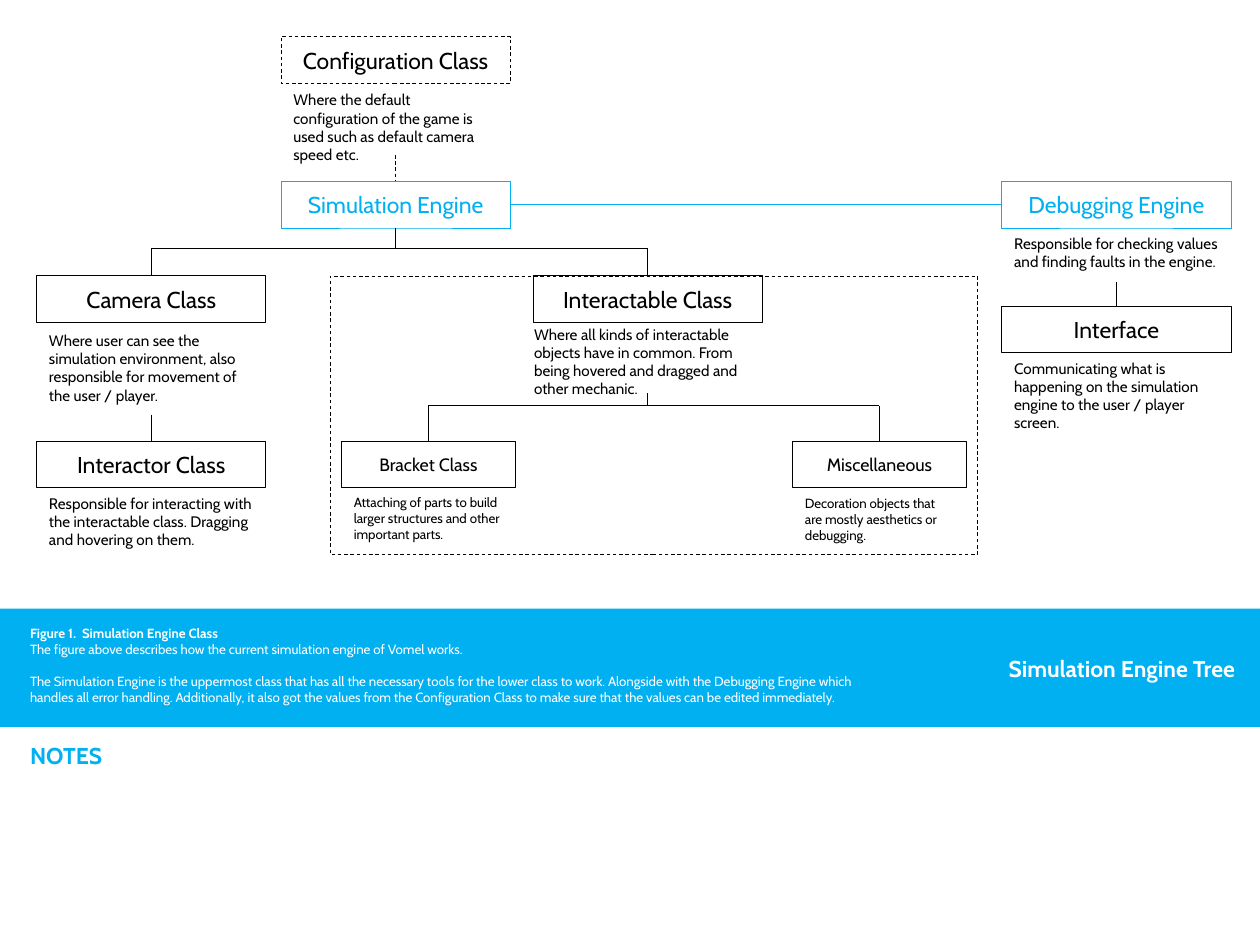
from pptx import Presentation
from pptx.dml.color import RGBColor
from pptx.enum.dml import MSO_LINE
from pptx.enum.shapes import MSO_CONNECTOR, MSO_SHAPE
from pptx.enum.text import MSO_ANCHOR, PP_ALIGN
from pptx.oxml.ns import qn
from pptx.util import Inches, Pt
from lxml.etree import SubElement

BLUE = RGBColor(0x00, 0xB0, 0xF0)
BLACK = RGBColor(0x00, 0x00, 0x00)
WHITE = RGBColor(0xFF, 0xFF, 0xFF)
FONT = "Cabin"
TITLE, SUBTITLE, BODY, SMALL = 13.1, 10.2, 8.7, 7.6
BOX_W, SMALL_W, BOX_H = 1.82, 1.38, 0.37


def add_run(p, text, size, color, bold=False):
    r = p.add_run()
    r.text = text
    r.font.name = FONT
    r.font.size = Pt(size)
    r.font.bold = bold
    r.font.color.rgb = color


def add_text(s, box, text, size, color, bold=False, align=PP_ALIGN.LEFT):
    tf = s.shapes.add_textbox(*map(Inches, box)).text_frame
    tf.word_wrap = True
    p = tf.paragraphs[0]
    p.alignment = align
    add_run(p, text, size, color, bold)
    return tf


def style_line(line, color, dashed):
    line.color.rgb = color
    line.width = Pt(0.5)
    if dashed:
        line.dash_style = MSO_LINE.DASH


def add_box(s, box, color, dashed=False):
    sp = s.shapes.add_shape(MSO_SHAPE.RECTANGLE, *map(Inches, box))
    sp.shadow.inherit = False
    sp.fill.background()
    style_line(sp.line, color, dashed)
    return sp


def add_line(s, x1, y1, x2, y2, color=BLACK, dashed=False):
    c = s.shapes.add_connector(MSO_CONNECTOR.STRAIGHT, *map(Inches, (x1, y1, x2, y2)))
    style_line(c.line, color, dashed)
    SubElement(c._element.spPr, qn("a:effectLst"))


def add_node(s, box, title, size=TITLE, color=BLACK, dashed=False):
    sp = add_box(s, box, color, dashed)
    tf = sp.text_frame
    tf.word_wrap = True
    tf.vertical_anchor = MSO_ANCHOR.MIDDLE
    p = tf.paragraphs[0]
    p.alignment = PP_ALIGN.CENTER
    add_run(p, title, size, color)


def add_tree(s, box):
    left, top, width, height = box
    engine_x, item_x, debug_x = left + 1.94, left + 3.94, left + width - BOX_W
    bracket_x, misc_x = left + 2.42, left + 6
    engine_y, class_y, leaf_y = top + 1.15, top + 1.9, top + 3.21
    interface_y = top + 2.14
    add_box(s, (left + 2.33, class_y, 5.14, height - 1.9), BLACK, True)

    big = [
        (engine_x, top, "Configuration Class", BLACK, True),
        (engine_x, engine_y, "Simulation Engine", BLUE, False),
        (debug_x, engine_y, "Debugging Engine", BLUE, False),
        (left, class_y, "Camera Class", BLACK, False),
        (item_x, class_y, "Interactable Class", BLACK, False),
        (left, leaf_y, "Interactor Class", BLACK, False),
        (debug_x, interface_y, "Interface", BLACK, False),
    ]
    for x, y, title, color, dashed in big:
        add_node(s, (x, y, BOX_W, BOX_H), title, TITLE, color, dashed)
    for x, title in ((bracket_x, "Bracket Class"), (misc_x, "Miscellaneous")):
        add_node(s, (x, leaf_y, SMALL_W, BOX_H), title, SUBTITLE)

    notes = [
        (engine_x, top + 0.38, BOX_W, BODY, "Where the default configuration of the game is "
         "used such as default camera speed etc."),
        (debug_x, engine_y + BOX_H, BOX_W, BODY, "Responsible for checking values and finding "
         "faults in the engine."),
        (left, class_y + 0.39, BOX_W, BODY, "Where user can see the simulation environment, "
         "also responsible for movement of the user / player."),
        (item_x - 0.09, class_y + 0.34, 1.99, BODY, "Where all kinds of interactable objects "
         "have in common. From being hovered and dragged and other mechanic."),
        (left, leaf_y + BOX_H, BOX_W, BODY, "Responsible for interacting with the interactable "
         "class. Dragging and hovering on them."),
        (debug_x, interface_y + BOX_H, BOX_W, BODY, "Communicating what is happening on the "
         "simulation engine to the user / player screen."),
        (bracket_x, leaf_y + BOX_H, 1.47, SMALL, "Attaching of parts to build larger structures "
         "and other important parts."),
        (misc_x, leaf_y + 0.38, SMALL_W, SMALL, "Decoration objects that are mostly aesthetics "
         "or debugging."),
    ]
    for x, y, w, size, text in notes:
        add_text(s, (x, y, w, 0.56), text, size, BLACK)

    camera_mid, engine_mid, item_mid, debug_mid = (
        x + BOX_W / 2 for x in (left, engine_x, item_x, debug_x))
    bracket_mid, misc_mid = bracket_x + SMALL_W / 2, misc_x + SMALL_W / 2
    class_bus, leaf_bus = top + 1.68, top + 2.93
    add_line(s, camera_mid, class_bus, item_mid, class_bus)
    add_line(s, bracket_mid, leaf_bus, misc_mid, leaf_bus)
    drops = [
        (engine_mid, engine_y + BOX_H, class_bus),
        (camera_mid, class_bus, class_y),
        (item_mid, class_bus, class_y),
        (item_mid, leaf_bus - 0.1, leaf_bus),
        (bracket_mid, leaf_bus, leaf_y),
        (misc_mid, leaf_bus, leaf_y),
        (camera_mid, leaf_y - 0.21, leaf_y),
        (debug_mid, interface_y - 0.19, interface_y),
    ]
    for x, y1, y2 in drops:
        add_line(s, x, y1, x, y2)
    add_line(s, engine_mid, engine_y - 0.21, engine_mid, engine_y, dashed=True)
    link_y = engine_y + BOX_H / 2
    add_line(s, engine_x + BOX_W, link_y, debug_x, link_y, BLUE)


def add_caption(s, box):
    left, top, width, height = box
    sp = s.shapes.add_shape(MSO_SHAPE.RECTANGLE, *map(Inches, box))
    sp.shadow.inherit = False
    sp.fill.solid()
    sp.fill.fore_color.rgb = BLUE
    sp.line.fill.background()
    add_text(s, (left + width - 2.53, top + 0.32, 2.43, 0.33), "Simulation Engine Tree",
             TITLE, WHITE, True, PP_ALIGN.RIGHT)
    tf = add_text(s, (left + 0.14, top + 0.08, 6.75, 0.77),
                  "Figure 1.  Simulation Engine Class", SMALL, WHITE, True)
    p = tf.add_paragraph()
    add_run(p, "The figure above describes how the current simulation engine of Vomel works.",
            SMALL, WHITE)
    p = tf.add_paragraph()
    p.space_before = Pt(9.2)
    add_run(p, "The Simulation Engine is the uppermost class that has all the necessary tools for "
            "the lower class to work. Alongside with the Debugging Engine which handles all error "
            "handling. Additionally, it also got the values from the Configuration Class to make "
            "sure that the values can be edited immediately.", SMALL, WHITE)


def add_notes_heading(s, box):
    add_text(s, box, "NOTES", TITLE, BLUE, True)


def main():
    prs = Presentation()
    prs.slide_width, prs.slide_height = Inches(10), Inches(7.5)
    s = prs.slides.add_slide(prs.slide_layouts[6])
    add_tree(s, (0.29, 0.29, 9.48, 4.11))
    add_caption(s, (0, 4.83, 10, 0.94))
    add_notes_heading(s, (0.14, 5.84, 2.43, 0.33))
    prs.save("out.pptx")


if __name__ == "__main__":
    main()
